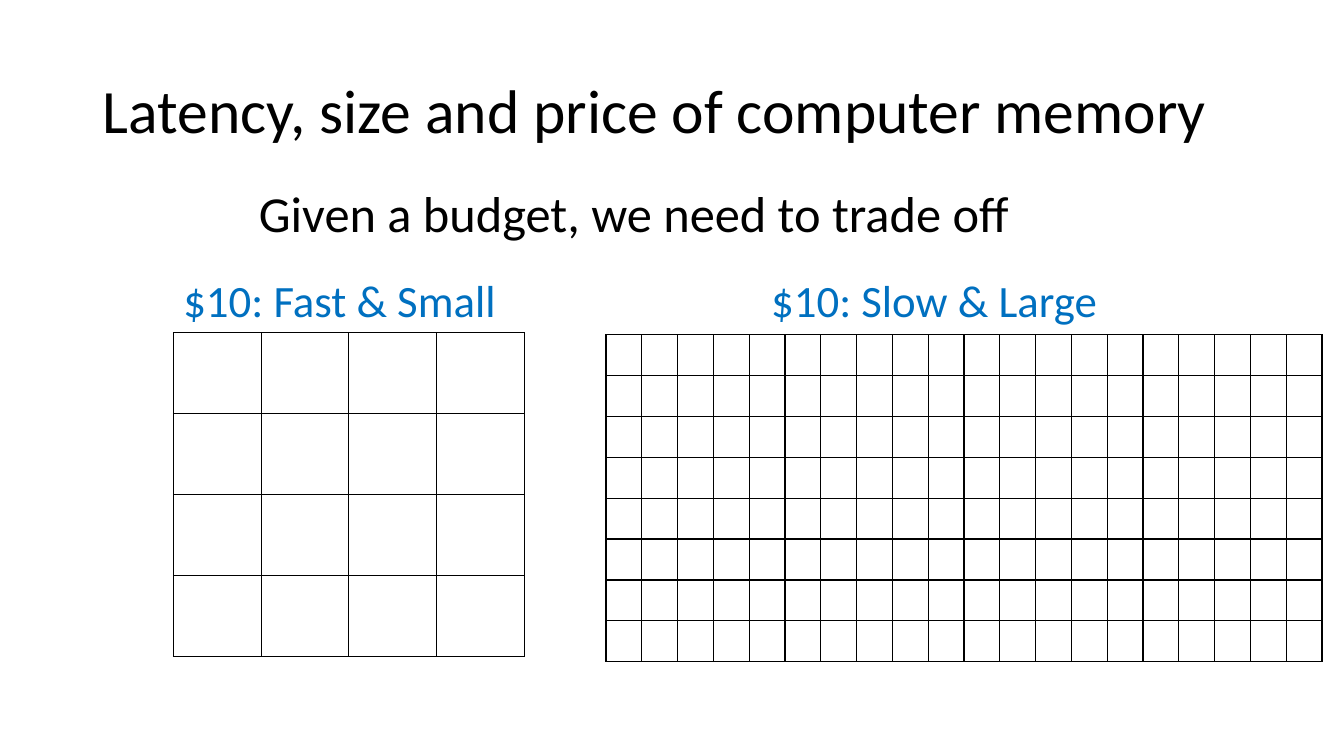
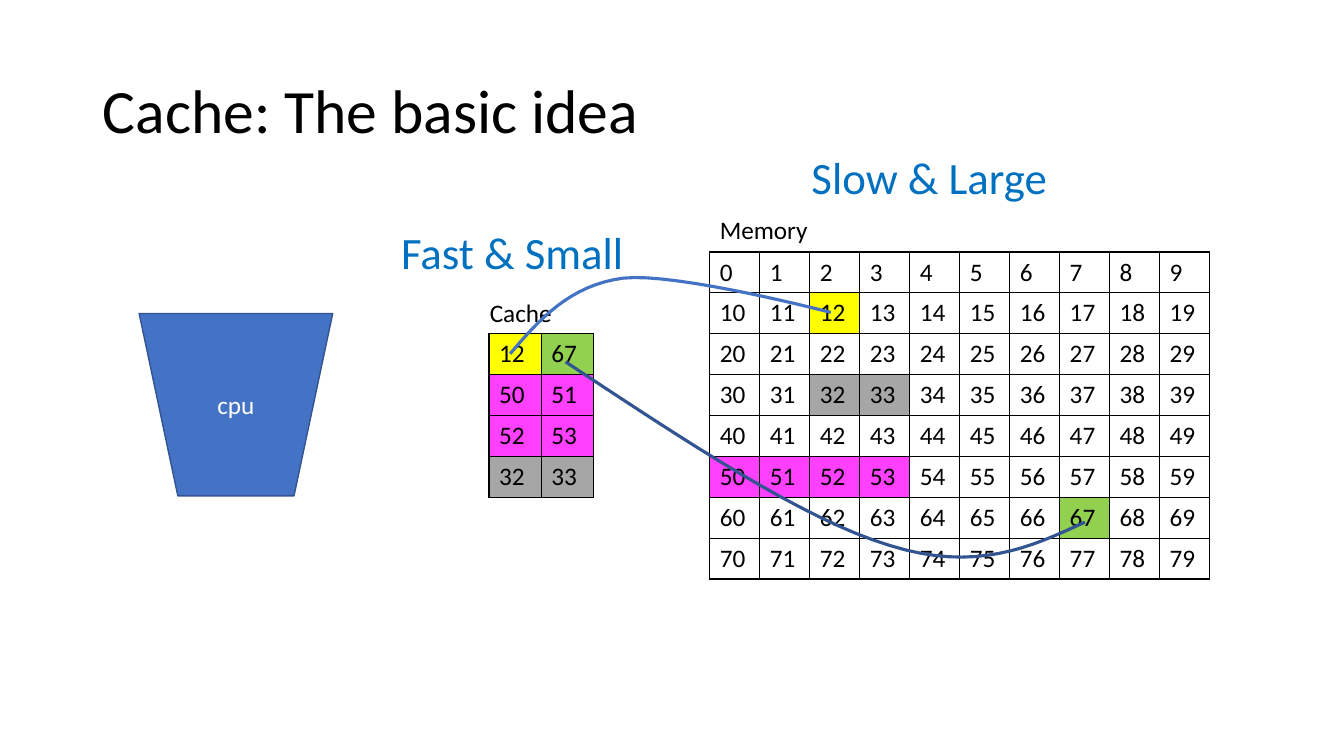
import pptx
import pptx.dml.color
import pptx.enum.shapes
import pptx.enum.text
import pptx.oxml
import pptx.oxml.ns
import pptx.util

Inches = pptx.util.Inches
Pt = pptx.util.Pt
RGBColor = pptx.dml.color.RGBColor
PP_ALIGN = pptx.enum.text.PP_ALIGN
MSO_ANCHOR = pptx.enum.text.MSO_ANCHOR

COLORS = {
    "black": "000000", "white": "FFFFFF", "heading": "0070C0",
    "blue": "4472C4", "navy": "325491",
    "yellow": "FFFF00", "green": "92D050", "pink": "FF40FF", "gray": "A6A6A6",
}
FORMATS = {
    "title": {"size": Pt(44), "name": "Calibri", "bold": False},
    "subtitle": {"size": Pt(36), "name": "Calibri"},
    "heading": {"size": Pt(32), "name": "Calibri"},
    "label": {"size": Pt(18), "name": "Calibri"},
}
# Memory addresses that are held in the cache
CACHED = {12: "yellow", 67: "green", 32: "gray", 33: "gray",
          50: "pink", 51: "pink", 52: "pink", 53: "pink"}


def write_text(text_frame, text, style, color):
    paragraph = text_frame.paragraphs[0]
    run = paragraph.add_run()
    run.text = text
    for attribute, value in FORMATS[style].items():
        setattr(run.font, attribute, value)
    run.font.color.rgb = RGBColor.from_string(COLORS[color])
    return paragraph


def add_grid(slide, left, top, width, height, rows):
    """Add a black-ruled table; a None entry is an empty cell."""
    table = slide.shapes.add_table(
        len(rows), len(rows[0]), Inches(left), Inches(top),
        Inches(width), Inches(height)).table
    table.first_row = table.horz_banding = False
    for row, addresses in enumerate(rows):
        for column, address in enumerate(addresses):
            cell = table.cell(row, column)
            # Borders come before the fill in the cell properties
            properties = cell._tc.get_or_add_tcPr()
            for side in ("lnL", "lnR", "lnT", "lnB"):
                properties.append(pptx.oxml.parse_xml(
                    f'<a:{side} {pptx.oxml.ns.nsdecls("a")} w="12700"><a:solidFill>'
                    f'<a:srgbClr val="{COLORS["black"]}"/></a:solidFill></a:{side}>'))
            cell.fill.solid()
            cell.fill.fore_color.rgb = RGBColor.from_string(
                COLORS[CACHED.get(address, "white")])
            if address is not None:
                write_text(cell.text_frame, str(address), "label", "black")


presentation = pptx.Presentation()
presentation.slide_width = Inches(13.33)
presentation.slide_height = Inches(7.5)

# Slides with their titles
slides = []
for title_text in ("Latency, size and price of computer memory",
                   "Cache: The basic idea"):
    slide = presentation.slides.add_slide(presentation.slide_layouts[5])
    title = slide.shapes.title
    title.left, title.top = Inches(0.92), Inches(0.4)
    title.width, title.height = Inches(11.5), Inches(1.45)
    title.text_frame.vertical_anchor = MSO_ANCHOR.MIDDLE
    paragraph = write_text(title.text_frame, title_text, "title", "black")
    paragraph.alignment = PP_ALIGN.LEFT
    paragraph.line_spacing = 0.9
    slides.append(slide)
budget_slide, cache_slide = slides

# Tables
add_grid(budget_slide, 6.01, 3.32, 7.11, 3.2, [[None] * 20] * 8)
add_grid(budget_slide, 1.72, 3.3, 3.48, 3.21, [[None] * 4] * 4)
add_grid(cache_slide, 7.04, 2.5, 4.96, 3.24,
         [range(start, start + 10) for start in range(0, 80, 10)])
add_grid(cache_slide, 4.85, 3.31, 1.04, 1.62,
         [(12, 67), (50, 51), (52, 53), (32, 33)])

# CPU
cpu = cache_slide.shapes.add_shape(
    pptx.enum.shapes.MSO_SHAPE.FLOWCHART_MANUAL_OPERATION,
    Inches(1.38), Inches(3.11), Inches(1.92), Inches(1.81))
cpu.shadow.inherit = False
cpu.fill.solid()
cpu.fill.fore_color.rgb = RGBColor.from_string(COLORS["blue"])
cpu.line.color.rgb = RGBColor.from_string(COLORS["navy"])
cpu.line.width = Pt(1)
cpu.text_frame.vertical_anchor = MSO_ANCHOR.MIDDLE
write_text(cpu.text_frame, "cpu", "label", "white").alignment = PP_ALIGN.CENTER

# Headings and table labels
for slide, text, style, color, left, top, width, height, wrap in (
    (budget_slide, "Given a budget, we need to trade off", "subtitle", "black",
     2.47, 1.76, 8.4, 0.71, True),
    (budget_slide, "$10: Fast & Small", "heading", "heading", 1.72, 2.66, 3.63, 0.64, True),
    (budget_slide, "$10: Slow & Large", "heading", "heading", 7.55, 2.66, 4.75, 0.64, True),
    (cache_slide, "Memory", "label", "black", 7.04, 2.08, 1.08, 0.4, False),
    (cache_slide, "Cache", "label", "black", 4.76, 2.9, 0.82, 0.4, False),
    (cache_slide, "Fast & Small", "heading", "heading", 3.88, 2.18, 2.8, 0.64, True),
    (cache_slide, "Slow & Large", "heading", "heading", 7.95, 1.44, 3.64, 0.64, True),
):
    box = slide.shapes.add_textbox(Inches(left), Inches(top), Inches(width), Inches(height))
    box.text_frame.word_wrap = wrap
    write_text(box.text_frame, text, style, color)

# Curves from cache cells to memory cells, each a chain of cubic Bezier segments
STEPS = 16
for color, points in (
    ("blue", [(5.06, 3.51), (5.35, 3.17), (5.65, 2.83), (6.18, 2.76),
              (6.71, 2.7), (8.24, 3.1), (8.24, 3.1)]),
    ("navy", [(5.61, 3.59), (6.79, 4.37), (7.96, 5.15), (8.82, 5.41),
              (9.68, 5.68), (10.22, 5.43), (10.76, 5.18)]),
):
    vertices = []
    for first in range(0, len(points) - 1, 3):
        segment = points[first:first + 4]
        for step in range(1, STEPS + 1):
            t = step / STEPS
            weights = ((1 - t) ** 3, 3 * t * (1 - t) ** 2, 3 * t ** 2 * (1 - t), t ** 3)
            vertices.append(tuple(
                Inches(sum(weight * point[axis] for weight, point in zip(weights, segment)))
                for axis in (0, 1)))
    start_x, start_y = points[0]
    builder = cache_slide.shapes.build_freeform(Inches(start_x), Inches(start_y))
    builder.add_line_segments(vertices, close=False)
    curve = builder.convert_to_shape()
    curve.shadow.inherit = False
    curve.fill.background()
    curve.line.color.rgb = RGBColor.from_string(COLORS[color])
    curve.line.width = Pt(2.25)

presentation.save("out.pptx")
